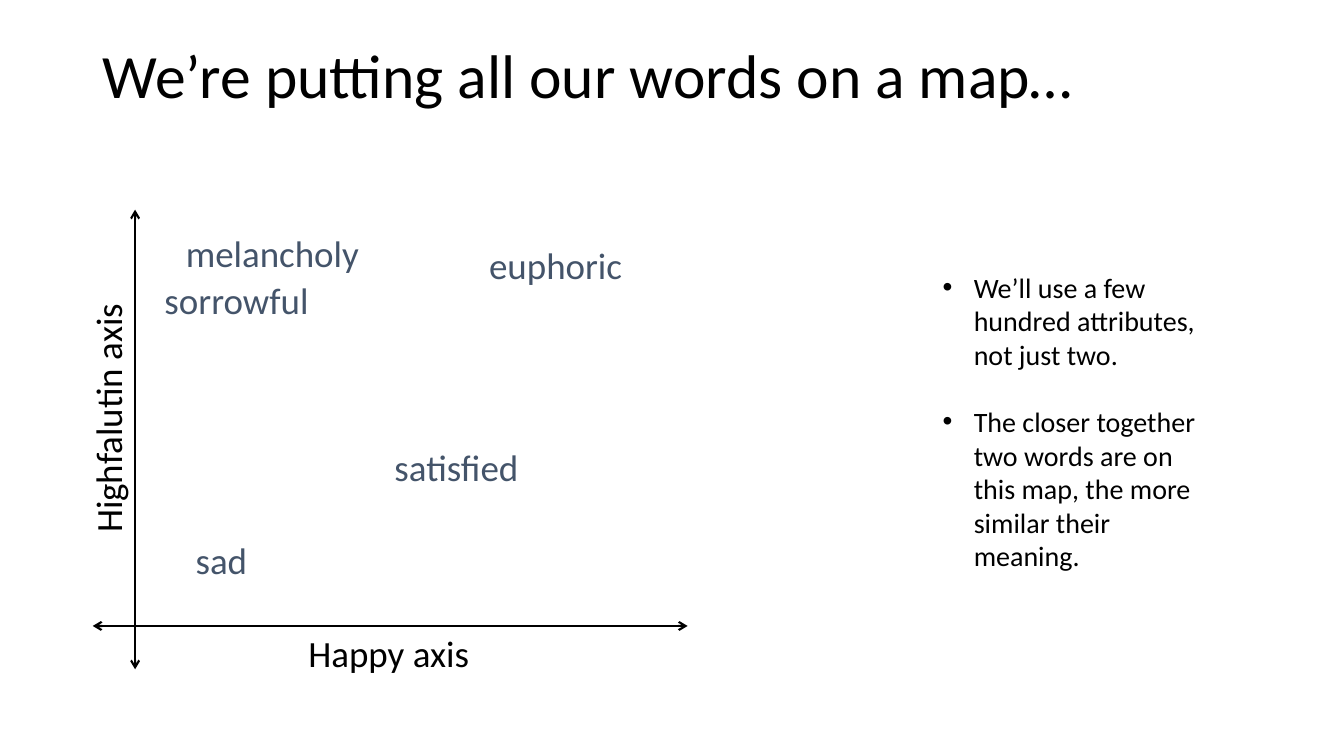
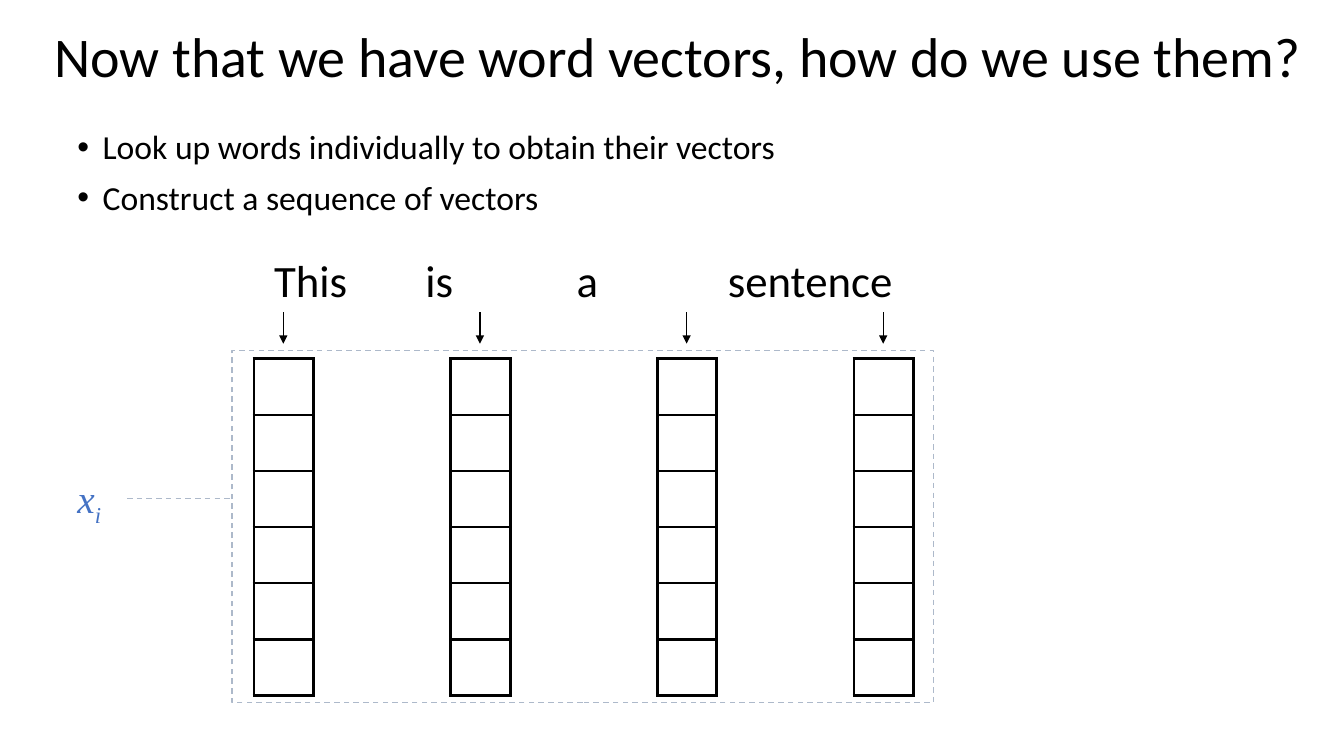
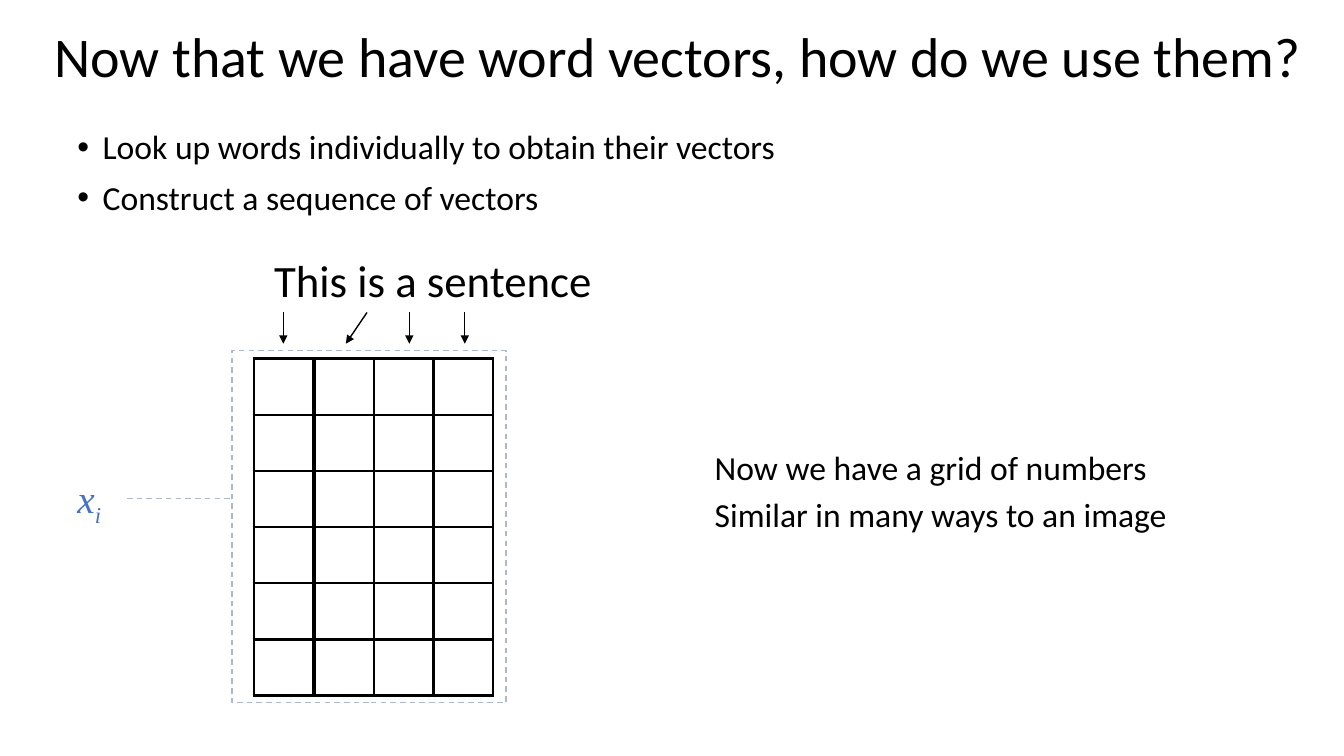
"""Build three slides that explain word vectors."""
import dataclasses

import lxml.etree
import pptx
import pptx.dml.color
import pptx.enum.dml
import pptx.enum.shapes
import pptx.enum.text
import pptx.oxml.ns
import pptx.util

Inches = pptx.util.Inches
Pt = pptx.util.Pt
qn = pptx.oxml.ns.qn
SubElement = lxml.etree.SubElement
Color = pptx.dml.color.RGBColor
Align = pptx.enum.text.PP_ALIGN


@dataclasses.dataclass(frozen=True)
class Theme:
    black: Color = Color.from_string("000000")
    slate: Color = Color.from_string("44546A")
    blue: Color = Color.from_string("4472C4")
    pale: Color = Color.from_string("ADB9CA")
    font: str = "Calibri"
    math_font: str = "Times New Roman"
    map_title: float = 44
    title: float = 40
    sentence: float = 32
    symbol: float = 28
    label: float = 26.4
    body: float = 24
    aside: float = 20
    axis_line: float = 1.5
    thin_line: float = 1
    cell_line: float = 2.25


theme = Theme()


def add_text(slide, box, paragraphs, size, color=theme.black, font=theme.font,
             align=Align.LEFT, spacing=1.0, gap=0, bullet_indent=0, wrap=True):
    shape = slide.shapes.add_textbox(*map(Inches, box))
    frame = shape.text_frame
    frame.word_wrap = wrap
    for index, text in enumerate(paragraphs):
        paragraph = frame.add_paragraph() if index else frame.paragraphs[0]
        paragraph.alignment = align
        paragraph.line_spacing = spacing
        if index:
            paragraph.space_before = Pt(gap)
        if bullet_indent:
            properties = paragraph._p.get_or_add_pPr()
            properties.set("marL", str(Inches(bullet_indent)))
            properties.set("indent", str(-Inches(bullet_indent)))
            SubElement(properties, qn("a:buFont"), typeface="Arial")
            SubElement(properties, qn("a:buChar"), char="•")
        run = paragraph.add_run()
        run.text = text
        run.font.name = font
        run.font.size = Pt(size)
        run.font.color.rgb = color
    return shape


def add_line(slide, start, end, width, color=theme.black, head=None, tail=None):
    connector = slide.shapes.add_connector(
        pptx.enum.shapes.MSO_CONNECTOR.STRAIGHT, *map(Inches, (*start, *end)))
    connector.line.color.rgb = color
    connector.line.width = Pt(width)
    for tag, kind in (("a:headEnd", head), ("a:tailEnd", tail)):
        if kind:
            SubElement(connector.get_or_add_ln(), qn(tag), type=kind)
    SubElement(connector._element.spPr, qn("a:effectLst"))
    return connector


presentation = pptx.Presentation()
presentation.slide_width = Inches(13.33)
presentation.slide_height = Inches(7.5)
blank_layout = presentation.slide_layouts[6]

slide = presentation.slides.add_slide(blank_layout)
add_text(slide, (0.92, 0.4, 11.5, 1.45), ["We’re putting all our words on a map…"],
         theme.map_title, spacing=0.9)
for start, end in (((0.92, 6.21), (6.82, 6.21)), ((1.34, 6.64), (1.34, 2.08))):
    add_line(slide, start, end, theme.axis_line, head="arrow", tail="arrow")
add_text(slide, (2.96, 6.21, 1.81, 0.54), ["Happy axis"], theme.label, wrap=False)
vertical_label = add_text(slide, (-0.18, 3.87, 2.49, 0.54), ["Highfalutin axis"],
                          theme.label, wrap=False)
vertical_label.rotation = 270
for word, left, top in (
    ("euphoric", 3.53, 2.36),
    ("sad", -0.19, 5.28),
    ("melancholy", 0.92, 2.24),
    ("sorrowful", 0.42, 2.7),
    ("satisfied", 2.5, 4.36),
):
    add_text(slide, (left, top, 2.74, 0.54), [word], theme.label, theme.slate,
             align=Align.RIGHT)
add_text(slide, (9.25, 2.63, 2.74, 3.13), [
    "We’ll use a few hundred attributes, not just two.",
    "The closer together two words are on this map, the more similar their meaning.",
], theme.aside, gap=24, bullet_indent=0.31)

vector_slides = (
    ("This\tis\ta\tsentence", 6.39, (2.52, 4.47, 6.52, 8.47),
     ((2.81, 2.81), (4.76, 4.76), (6.81, 6.81), (8.76, 8.76)), 6.96),
    ("This is a sentence", 3.38, (2.52, 3.12, 3.71, 4.3),
     ((2.81, 2.81), (3.64, 3.43), (4.06, 4.06), (4.61, 4.61)), 2.72),
)
vector_size = 6
for sentence, sentence_width, vector_lefts, arrows, frame_width in vector_slides:
    slide = presentation.slides.add_slide(blank_layout)
    add_text(slide, (0.44, 0.24, 12.89, 1.25),
             ["Now that we have word vectors, how do we use them?"],
             theme.title, spacing=0.9)
    add_text(slide, (0.67, 1.25, 12, 1.06), [
        "Look up words individually to obtain their vectors",
        "Construct a sequence of vectors",
    ], theme.body, spacing=0.9, gap=10, bullet_indent=0.25)

    sentence_box = add_text(slide, (2.62, 2.46, sentence_width, 0.64), [sentence],
                            theme.sentence)
    properties = sentence_box.text_frame.paragraphs[0]._p.get_or_add_pPr()
    if "\t" in sentence:
        tab_list = SubElement(properties, qn("a:tabLst"))
        for stop in range(1, sentence.count("\t") + 1):
            SubElement(tab_list, qn("a:tab"), pos=str(Inches(1.5 * stop)), algn="l")

    for left in vector_lefts:
        vector = slide.shapes.add_table(vector_size, 1, Inches(left), Inches(3.56),
                                        Inches(0.59), Inches(3.34)).table
        vector.first_row = False
        vector.horz_banding = False
        for row in vector.rows:
            cell = row.cells[0]
            cell_properties = cell._tc.get_or_add_tcPr()
            for side in ("a:lnL", "a:lnR", "a:lnT", "a:lnB"):
                border = SubElement(cell_properties, qn(side), w=str(Pt(theme.cell_line)))
                fill = SubElement(border, qn("a:solidFill"))
                SubElement(fill, qn("a:srgbClr"), val=str(theme.black))
            cell.fill.background()

    for start, end in arrows:
        add_line(slide, (start, 3.1), (end, 3.41), theme.thin_line, tail="triangle")

    symbol = add_text(slide, (0.67, 4.66, 0.59, 0.57), ["x"], theme.symbol,
                      theme.blue, theme.math_font)
    symbol_paragraph = symbol.text_frame.paragraphs[0]
    subscript = symbol_paragraph.add_run()
    subscript.text = "i"
    subscript.font.name = theme.math_font
    subscript.font.size = Pt(theme.symbol)
    subscript.font.color.rgb = theme.blue
    subscript._r.get_or_add_rPr().set("baseline", "-25000")
    for run in symbol_paragraph.runs:
        run.font.italic = True

    frame = slide.shapes.add_shape(pptx.enum.shapes.MSO_SHAPE.RECTANGLE, Inches(2.3),
                                   Inches(3.48), Inches(frame_width), Inches(3.49))
    frame.shadow.inherit = False
    frame.fill.background()
    frame.line.color.rgb = theme.pale
    frame.line.width = Pt(theme.thin_line)
    leader = add_line(slide, (1.26, 4.94), (2.3, 4.94), theme.thin_line, theme.pale)
    leader.begin_connect(symbol, 3)
    leader.end_y = leader.begin_y
    for dashed in (frame, leader):
        dashed.line.dash_style = pptx.enum.dml.MSO_LINE.DASH

add_text(slide, (6.99, 4.43, 5.27, 1.06), [
    "Now we have a grid of numbers",
    "Similar in many ways to an image",
], theme.body, spacing=0.9, gap=7.5)

presentation.save("out.pptx")
